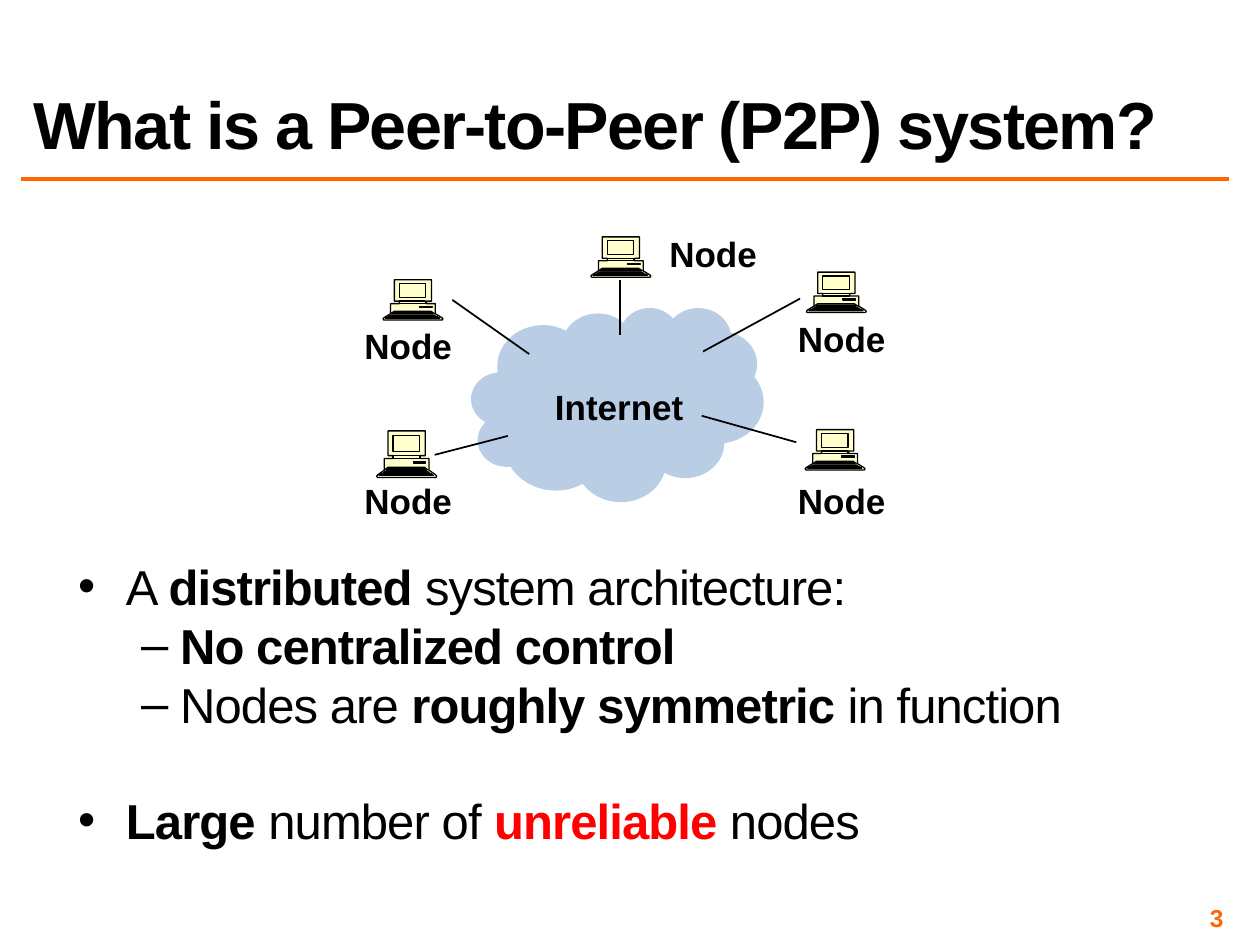
from collections import namedtuple

from lxml.etree import SubElement
from pptx import Presentation
from pptx.dml.color import RGBColor
from pptx.enum.shapes import MSO_CONNECTOR as Connector, MSO_SHAPE as Preset
from pptx.enum.text import MSO_ANCHOR as Anchor, PP_ALIGN as Align
from pptx.oxml.ns import qn
from pptx.util import Inches, Pt

# The slide is a grid of 100 columns by 75 rows of square cells
COLUMNS, ROWS = 100, 75
CELL = Inches(0.1)
FONT = "Arial"
BLACK, ORANGE, RED, CREAM, SKY = "000000", "FF6600", "FF0000", "FFFFCC", "B9CDE5"

Box = namedtuple("Box", "left top width height")
Node = namedtuple("Node", "icon label link")


def cells(*values):
    return [round(value * CELL) for value in values]


def inside(box, left, top, width, height):
    return Box(box.left + left, box.top + top, width, height)


def color(hex_text):
    return RGBColor.from_string(hex_text)


def add_bullet(paragraph, mark, margin, hanging):
    properties = paragraph._p.get_or_add_pPr()
    properties.set("marL", str(Inches(margin)))
    properties.set("indent", str(-Inches(hanging)))
    SubElement(properties, qn("a:buFont")).set("typeface", FONT)
    SubElement(properties, qn("a:buChar")).set("char", mark)


def add_runs(paragraph, runs, size, spacing=0):
    """Each run is (text, bold, color)."""
    for text, bold, ink in runs:
        run = paragraph.add_run()
        run.text = text
        run.font.name, run.font.size, run.font.bold = FONT, Pt(size), bold
        run.font.color.rgb = color(ink)
        if spacing:
            run._r.get_or_add_rPr().set("spc", str(round(spacing * 100)))


def add_text(slide, box, text="", size=20, bold=True, ink=BLACK, align=Align.LEFT,
             anchor=Anchor.TOP, wrap=True, inset=None, line_spacing=None, spacing=0):
    frame = slide.shapes.add_textbox(*cells(*box)).text_frame
    frame.word_wrap = wrap
    frame.vertical_anchor = anchor
    if inset is not None:
        frame.margin_left = frame.margin_right = Inches(inset)
        frame.margin_top = frame.margin_bottom = Inches(inset)
    if text:
        paragraph = frame.paragraphs[0]
        paragraph.alignment = align
        paragraph.line_spacing = line_spacing
        add_runs(paragraph, [(text, bold, ink)], size, spacing)
    return frame


def add_line(slide, start, end, ink=BLACK, weight=1):
    line = slide.shapes.add_connector(Connector.STRAIGHT, *cells(*start, *end))
    line.line.color.rgb = color(ink)
    line.line.width = Pt(weight)
    SubElement(line._element.spPr, qn("a:effectLst"))


def add_outlines(slide, box, contours, fill=None):
    """Draw (points, closed) contours given on a 48 by 32 mesh over the box."""
    scale = (48 / (box.width * CELL), 32 / (box.height * CELL))
    builder = None
    for points, closed in contours:
        mesh = [(round(x / scale[0]), round(y / scale[1])) for x, y in points]
        if builder is None:
            builder = slide.shapes.build_freeform(*mesh[0])
        else:
            builder.move_to(*mesh[0])
        builder.add_line_segments(mesh[1:], close=closed)
    shape = builder.convert_to_shape(*cells(box.left, box.top))
    shape.shadow.inherit = False
    if fill:
        shape.fill.solid()
        shape.fill.fore_color.rgb = color(fill)
    else:
        shape.fill.background()
    shape.line.color.rgb = color(BLACK)
    shape.line.width = Pt(0.75)


def rectangle(left, top, right, bottom):
    return [(left, top), (right, top), (right, bottom), (left, bottom)], True


def key_row(bottom, inset):
    left, right = inset, 47 - inset
    return [(right, bottom), (right - 1.5, bottom - 1),
            (left + 1.5, bottom - 1), (left, bottom)], True


def draw_computer(slide, box):
    # Silhouette: left half, mirrored for the right half
    half = [(9, 0), (9, 17), (13, 17), (13, 19), (6, 19), (6, 27),
            (1, 30), (0, 31), (0.5, 32)]
    body = half + [(47.5 - x, y) for x, y in reversed(half)]
    add_outlines(slide, box, [(body, True)], CREAM)
    # Screen, neck, disk slot and keyboard
    details = [rectangle(13, 3, 34, 14), rectangle(13, 17, 34, 19),
               rectangle(29, 21, 39, 22),
               ([(41, 27), (38, 25), (9, 25), (6, 27)], False)]
    details += [key_row(bottom, inset) for bottom, inset in
                ((27, 7.5), (29, 5), (30.5, 2))]
    add_outlines(slide, box, details)


def draw_title(slide, box):
    add_text(slide, box, "What is a Peer-to-Peer (P2P) system?", size=38,
             anchor=Anchor.BOTTOM, line_spacing=0.8, spacing=-1)
    rule = box.top + box.height + 0.8
    add_line(slide, (box.left, rule), (box.left + box.width, rule), ORANGE, 2)


def draw_network(slide, box):
    # Cloud
    cloud = slide.shapes.add_shape(Preset.CLOUD, *cells(*inside(box, 9.5, 6.4, 23.2, 15.4)))
    cloud.shadow.inherit = False
    cloud.fill.solid()
    cloud.fill.fore_color.rgb = color(SKY)
    cloud.line.fill.background()

    # Nodes around it: icon (left, top, height), label corner, link ends
    nodes = [
        Node((19, 0.8, 3.2), (24.2, 0), ((21.3, 8.6), (21.3, 4.2))),
        Node((2.5, 4.2, 3.2), (0, 7.3), ((14.1, 10.1), (8, 5.8))),
        Node((2, 16.2, 3.7), (0, 19.6), ((6.6, 18.1), (12.4, 16.6))),
        Node((36, 16.1, 3.2), (34.4, 19.6), ((35.3, 17.1), (27.8, 15))),
        Node((36.1, 3.6, 3.2), (34.4, 6.7), ((27.9, 9.9), (35.6, 5.7))),
    ]
    label_style = dict(align=Align.CENTER, wrap=False)
    for node in nodes:
        left, top, height = node.icon
        draw_computer(slide, inside(box, left, top, 4.8, height))
        add_line(slide, *[(box.left + x, box.top + y) for x, y in node.link])
        add_text(slide, inside(box, *node.label, 9, 4.4), "Node", **label_style)
    add_text(slide, inside(box, 15.1, 12.1, 12.3, 4.4), "Internet", **label_style)


def draw_points(slide, box):
    # Each point: level, space before, runs
    points = [
        (0, 0, [("A ", False, BLACK), ("distributed", True, BLACK),
                (" system architecture:", False, BLACK)]),
        (1, 6.8, [("No centralized control", True, BLACK)]),
        (1, 6.8, [("Nodes are ", False, BLACK), ("roughly symmetric ", True, BLACK),
                  ("in function", False, BLACK)]),
        (0, 39.3, [("Large", True, BLACK), (" number of ", False, BLACK),
                   ("unreliable ", True, RED), ("nodes", False, BLACK)]),
    ]
    bullets = [("•", 0.38, 0.38), ("–", 0.81, 0.31)]
    frame = add_text(slide, box, inset=0.04)
    for index, (level, before, runs) in enumerate(points):
        paragraph = frame.add_paragraph() if index else frame.paragraphs[0]
        add_bullet(paragraph, *bullets[level])
        paragraph.level = level
        paragraph.line_spacing = 0.8
        paragraph.space_before = Pt(before)
        add_runs(paragraph, runs, 28, spacing=-0.5)


def draw_page_number(slide, box):
    add_text(slide, box, "3", size=14, ink=ORANGE, align=Align.RIGHT,
             anchor=Anchor.MIDDLE, inset=0.04)


def main():
    presentation = Presentation()
    presentation.slide_width, presentation.slide_height = cells(COLUMNS, ROWS)
    slide = presentation.slides.add_slide(presentation.slide_layouts[6])
    draw_title(slide, Box(1.7, 1.7, 95.8, 11.7))
    draw_network(slide, Box(27.9, 18, 43.4, 24))
    draw_points(slide, Box(5.8, 44.7, 91.7, 26.2))
    draw_page_number(slide, Box(74.2, 71.7, 23.3, 2.3))
    presentation.save("out.pptx")


if __name__ == "__main__":
    main()
